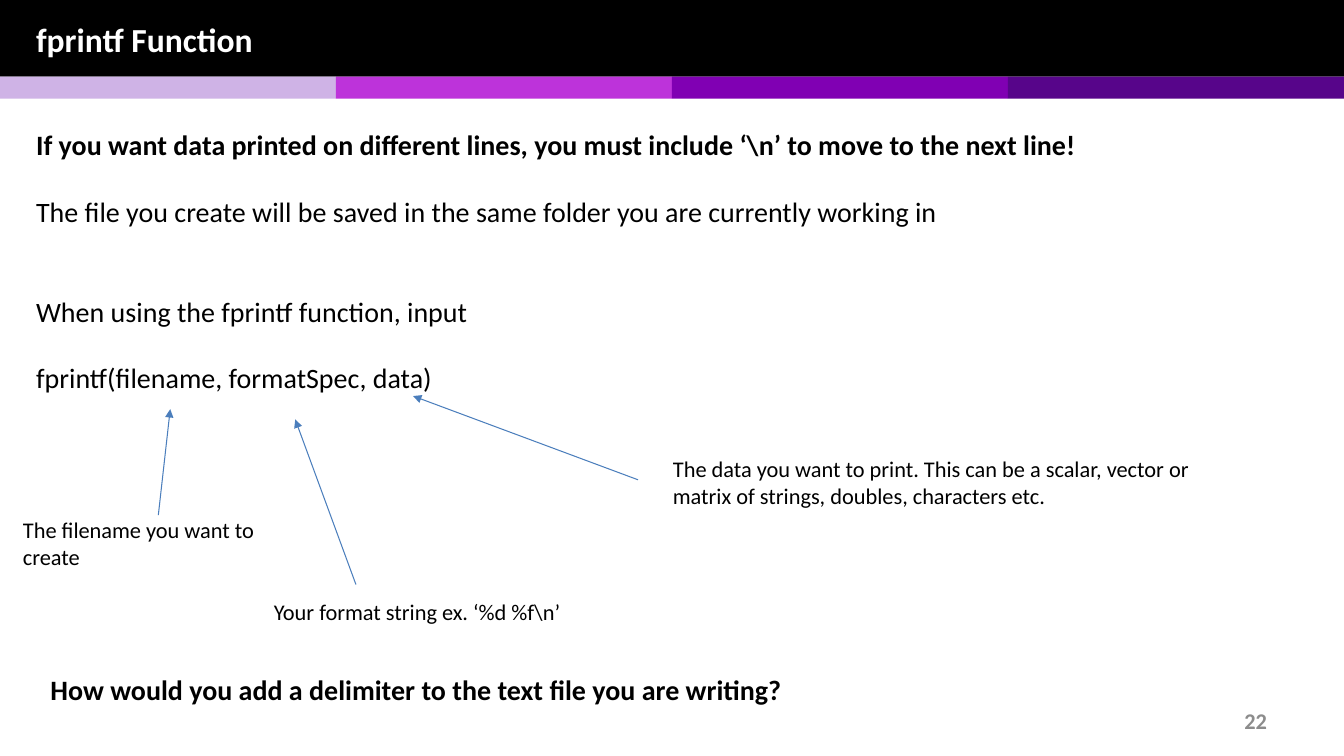
import pptx
import pptx.dml.color
import pptx.enum.shapes
import pptx.enum.text
import pptx.oxml
import pptx.oxml.ns
import pptx.util

Cm = pptx.util.Cm
Pt = pptx.util.Pt
RGBColor = pptx.dml.color.RGBColor
Align = pptx.enum.text.PP_ALIGN
Anchor = pptx.enum.text.MSO_ANCHOR

BLACK = RGBColor(0x00, 0x00, 0x00)
WHITE = RGBColor(0xFF, 0xFF, 0xFF)
GREY = RGBColor(0x8C, 0x8C, 0x8C)
BLUE = RGBColor(0x4B, 0x7E, 0xBC)
STRIPES = (
    RGBColor(0xCF, 0xB3, 0xE6),
    RGBColor(0xBD, 0x33, 0xDA),
    RGBColor(0x80, 0x00, 0xB3),
    RGBColor(0x57, 0x05, 0x8A),
)
WIDTH, HEIGHT = 33.87, 19.05
HEADER_HEIGHT = 1.93


class SlideBuilder:
    """Draws on one slide in one style; all lengths are centimetres."""

    font = "Calibri"

    def __init__(self, slide):
        self.slide = slide

    def band(self, left, top, width, height, color):
        band = self.slide.shapes.add_shape(
            pptx.enum.shapes.MSO_SHAPE.RECTANGLE,
            Cm(left), Cm(top), Cm(width), Cm(height))
        band.shadow.inherit = False
        band.fill.solid()
        band.fill.fore_color.rgb = color
        band.line.fill.background()

    def text(self, box, paragraphs, size=16, color=BLACK,
             align=Align.LEFT, anchor=Anchor.TOP, wrap=True):
        """Each paragraph is (wording, bold, points of space before)."""
        frame = self.slide.shapes.add_textbox(*map(Cm, box)).text_frame
        frame.word_wrap = wrap
        frame.vertical_anchor = anchor
        for index, (wording, bold, space) in enumerate(paragraphs):
            paragraph = frame.add_paragraph() if index else frame.paragraphs[0]
            paragraph.alignment = align
            paragraph.space_before = Pt(space)
            run = paragraph.add_run()
            run.text = wording
            run.font.name = self.font
            run.font.size = Pt(size)
            run.font.bold = bold
            run.font.color.rgb = color

    def arrow(self, start, end):
        arrow = self.slide.shapes.add_connector(
            pptx.enum.shapes.MSO_CONNECTOR.STRAIGHT,
            *map(Cm, start + end))
        arrow.line.color.rgb = BLUE
        arrow.line.width = Pt(0.75)
        head = pptx.oxml.parse_xml(
            f'<a:tailEnd {pptx.oxml.ns.nsdecls("a")} type="triangle"/>')
        arrow.line._get_or_add_ln().append(head)
        arrow._element.spPr.append(pptx.oxml.parse_xml(
            f'<a:effectLst {pptx.oxml.ns.nsdecls("a")}/>'))


def main():
    deck = pptx.Presentation()
    deck.slide_width, deck.slide_height = Cm(WIDTH), Cm(HEIGHT)
    builder = SlideBuilder(deck.slides.add_slide(deck.slide_layouts[6]))

    builder.band(0, 0, WIDTH, HEADER_HEIGHT, BLACK)
    stripe_width = WIDTH / len(STRIPES)
    for index, color in enumerate(STRIPES):
        builder.band(index * stripe_width, HEADER_HEIGHT, stripe_width, 0.56, color)

    builder.text((24.28, 17.65, 7.9, 1.02), [("22", True, 0)],
                 color=GREY, align=Align.RIGHT, anchor=Anchor.MIDDLE)
    builder.text((0.66, 0.03, 32.56, 1.9), [("fprintf Function", True, 0)],
                 size=24, color=WHITE, anchor=Anchor.MIDDLE)
    builder.text((0.66, 3.1, 32.05, 7.09), [
        ("If you want data printed on different lines, you must include ‘\\n’ "
         "to move to the next line!", True, 0),
        ("The file you create will be saved in the same folder you are "
         "currently working in", False, 23.6),
        ("When using the fprintf function, input", False, 47.2),
        ("fprintf(filename, formatSpec, data)", False, 23.6),
    ], size=20)

    for start, end in (
        ((3.99, 12.98), (4.29, 10.31)),
        ((8.97, 14.73), (7.44, 10.57)),
        ((16.08, 12.09), (10.41, 9.98)),
    ):
        builder.arrow(start, end)

    for box, wording in (
        ((0.33, 12.88, 7.62, 1.63), "The filename you want to create"),
        ((6.65, 14.96, 18.36, 0.94), "Your format string ex. ‘%d %f\\n’"),
        ((16.71, 11.35, 13.89, 1.63),
         "The data you want to print. This can be a scalar, vector or "
         "matrix of strings, doubles, characters etc."),
    ):
        builder.text(box, [(wording, False, 0)])

    builder.text((1.02, 16.81, 19.1, 1.12), [
        ("How would you add a delimiter to the text file you are writing?", True, 0),
    ], size=20, wrap=False)

    deck.save("out.pptx")


if __name__ == "__main__":
    main()
